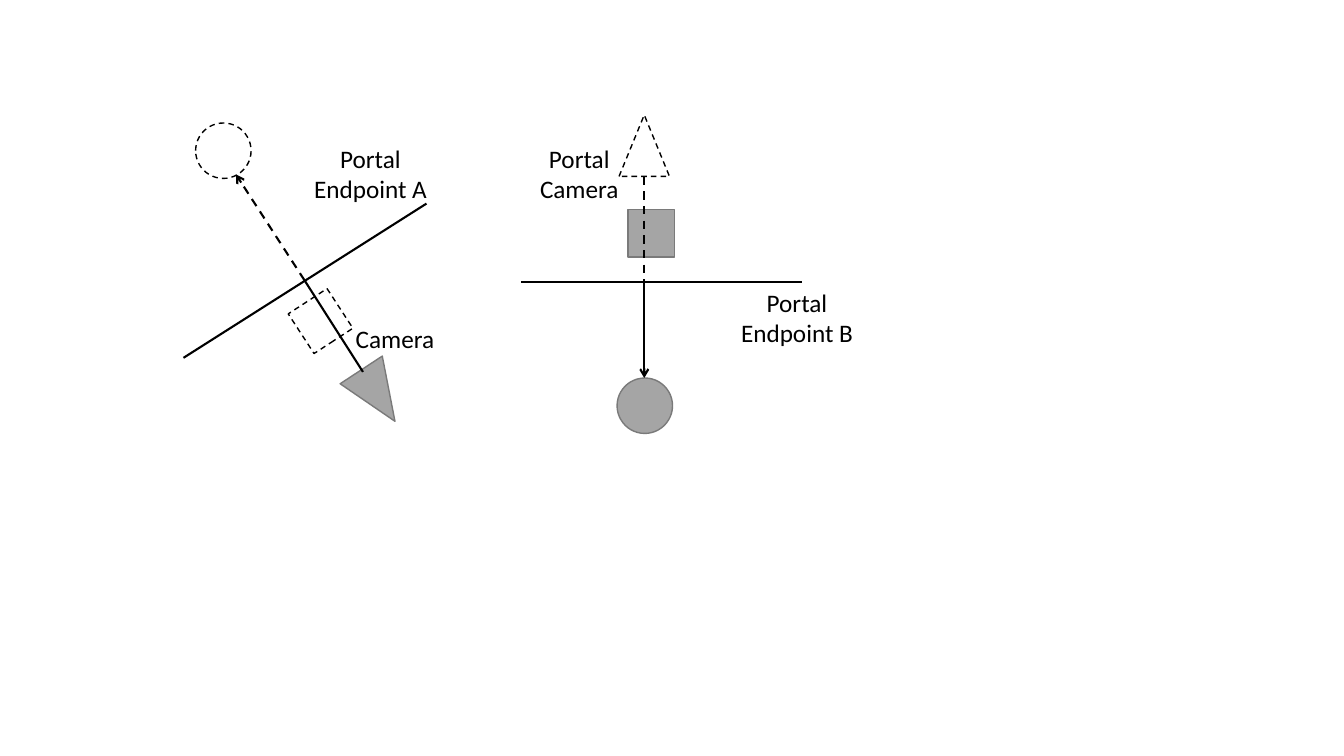
from dataclasses import dataclass

from lxml.etree import SubElement
from pptx import Presentation
from pptx.dml.color import RGBColor
from pptx.enum.dml import MSO_LINE
from pptx.enum.shapes import MSO_CONNECTOR, MSO_SHAPE
from pptx.enum.text import MSO_AUTO_SIZE, PP_ALIGN
from pptx.oxml.ns import qn
from pptx.util import Emu, Pt

PX = 9144
COLORS = {"black": "000000", "white": "FFFFFF", "gray": "A5A5A5", "edge": "7A7A7A"}


@dataclass
class Item:
    kind: MSO_SHAPE
    left: int
    top: int
    width: int
    height: int
    fill: str = ""
    edge: str = "black"
    dash: bool = False
    turn: float = 0


@dataclass
class Ray:
    start: tuple[int, int]
    end: tuple[int, int]
    dash: bool = False
    arrow: bool = False


@dataclass
class Label:
    text: str
    left: int
    top: int
    width: int
    height: int
    align: PP_ALIGN = PP_ALIGN.CENTER


GATE_A = (302, 278)
GATE_B = (639, 280)

ITEMS = [
    Item(MSO_SHAPE.RECTANGLE, 295, 295, 46, 47, "white", dash=True, turn=326.9),
    Item(MSO_SHAPE.RECTANGLE, 623, 208, 46, 47, "gray", "edge"),
    Item(MSO_SHAPE.ISOSCELES_TRIANGLE, 350, 362, 50, 61, "gray", "edge", turn=146.7),
    Item(MSO_SHAPE.OVAL, 612, 375, 55, 55, "gray", "edge"),
    Item(MSO_SHAPE.OVAL, 194, 122, 55, 55, dash=True),
    Item(MSO_SHAPE.ISOSCELES_TRIANGLE, 614, 114, 50, 61, dash=True),
]

RAYS = [
    Ray((182, 355), (423, 202)),
    Ray((517, 280), (795, 280)),
    Ray((360, 369), GATE_A),
    Ray(GATE_A, (234, 173), dash=True, arrow=True),
    Ray((639, 175), GATE_B, dash=True),
    Ray(GATE_B, (639, 375), arrow=True),
]

LABELS = [
    Label("Camera", 343, 316, 105, 40, PP_ALIGN.LEFT),
    Label("Portal\nCamera", 522, 137, 105, 71),
    Label("Portal\nEndpoint A", 301, 137, 133, 71),
    Label("Portal\nEndpoint B", 724, 280, 133, 71),
]


def px(*sizes: int) -> list[Emu]:
    return [Emu(size * PX) for size in sizes]


def color(name: str) -> RGBColor:
    return RGBColor.from_string(COLORS[name])


def stroke(line, name: str, width: float, dash: bool) -> None:
    line.color.rgb = color(name)
    line.width = Pt(width)
    if dash:
        line.dash_style = MSO_LINE.DASH


def draw_item(slide, item: Item) -> None:
    shape = slide.shapes.add_shape(
        item.kind, *px(item.left, item.top, item.width, item.height)
    )
    shape.shadow.inherit = False
    shape.rotation = item.turn
    if item.fill:
        shape.fill.solid()
        shape.fill.fore_color.rgb = color(item.fill)
    else:
        shape.fill.background()
    stroke(shape.line, item.edge, 1, item.dash)


def draw_ray(slide, ray: Ray) -> None:
    link = slide.shapes.add_connector(
        MSO_CONNECTOR.STRAIGHT, *px(*ray.start, *ray.end)
    )
    stroke(link.line, "black", 1.5, ray.dash)
    props = link._element.spPr
    if ray.arrow:
        SubElement(props.find(qn("a:ln")), qn("a:tailEnd"), type="arrow")
    SubElement(props, qn("a:effectLst"))


def write(frame, text: str, *, size: int = 18, font: str = "Calibri",
          ink: str = "black", align: PP_ALIGN = PP_ALIGN.LEFT) -> None:
    frame.text = text
    for para in frame.paragraphs:
        para.alignment = align
        for run in para.runs:
            run.font.size = Pt(size)
            run.font.name = font
            run.font.color.rgb = color(ink)


def draw_label(slide, label: Label) -> None:
    box = slide.shapes.add_textbox(
        *px(label.left, label.top, label.width, label.height)
    )
    frame = box.text_frame
    frame.word_wrap = True
    frame.auto_size = MSO_AUTO_SIZE.SHAPE_TO_FIT_TEXT
    write(frame, label.text, align=label.align)


def main() -> None:
    deck = Presentation()
    deck.slide_width, deck.slide_height = px(1333, 750)
    slide = deck.slides.add_slide(deck.slide_layouts[6])
    for item in ITEMS:
        draw_item(slide, item)
    for ray in RAYS:
        draw_ray(slide, ray)
    for label in LABELS:
        draw_label(slide, label)
    deck.save("out.pptx")


if __name__ == "__main__":
    main()
